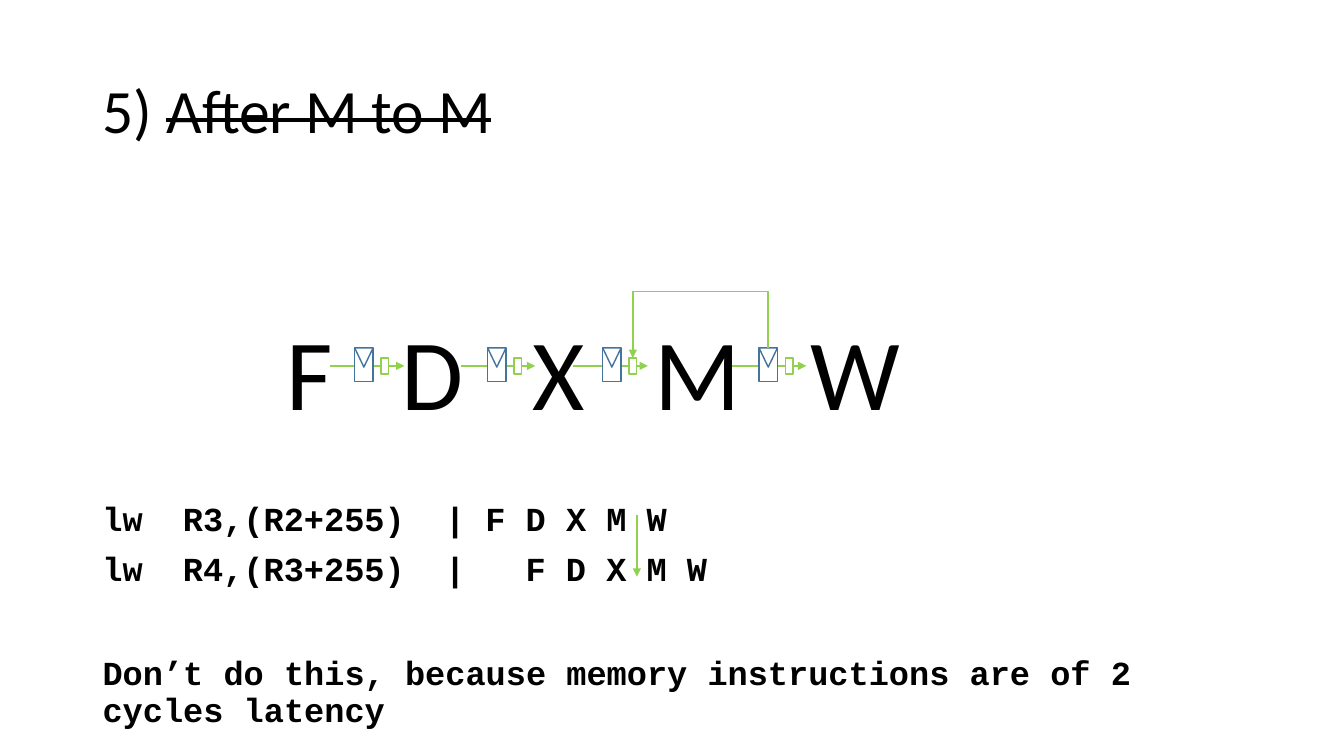
from dataclasses import dataclass

from lxml import etree
from pptx import Presentation
from pptx.dml.color import RGBColor
from pptx.enum import shapes, text
from pptx.oxml import ns
from pptx.util import Cm, Pt


@dataclass
class Theme:
    ink: RGBColor = RGBColor(0, 0, 0)
    paper: RGBColor = RGBColor(255, 255, 255)
    latch: RGBColor = RGBColor(0x43, 0x73, 0x9E)
    wire: RGBColor = RGBColor(0x92, 0xD0, 0x50)
    sans: str = "Calibri"
    mono: str = "Courier New"
    head: int = 44
    stage: int = 72
    code: int = 24


theme = Theme()
prs = Presentation()
prs.slide_width, prs.slide_height = Cm(33.87), Cm(19.05)
slide = prs.slides.add_slide(prs.slide_layouts[1])


def add_box(kind, left, top, width, height, color):
    box = slide.shapes.add_shape(kind, Cm(left), Cm(top), Cm(width), Cm(height))
    box.shadow.inherit = False
    box.fill.solid()
    box.fill.fore_color.rgb = theme.paper
    box.line.color.rgb = color
    box.line.width = Pt(1)
    return box


def add_wire(kind, x1, y1, x2, y2):
    """Add a green connector with an arrowhead at its end."""
    wire = slide.shapes.add_connector(kind, Cm(x1), Cm(y1), Cm(x2), Cm(y2))
    wire.line.color.rgb = theme.wire
    wire.line.width = Pt(1)
    etree.SubElement(wire.line._get_or_add_ln(), ns.qn("a:tailEnd"), type="triangle")
    etree.SubElement(wire._element.spPr, ns.qn("a:effectLst"))
    return wire


# Title
title = slide.shapes.title
title.left, title.top, title.width, title.height = Cm(2.33), Cm(1.01), Cm(29.21), Cm(3.68)
frame = title.text_frame
frame.vertical_anchor = text.MSO_ANCHOR.MIDDLE
frame.auto_size = text.MSO_AUTO_SIZE.NONE
para = frame.paragraphs[0]
para.alignment = text.PP_ALIGN.LEFT
para.line_spacing = 0.9
for words in ("5) ", "After M to M"):
    run = para.add_run()
    run.text = words
    run.font.name = theme.sans
    run.font.size = Pt(theme.head)
    run.font.color.rgb = theme.ink
run.font._element.set("strike", "sngStrike")

# Stage letters and code share a text box with tab stops; the remark is the body
body = slide.placeholders[1]
body.left, body.top, body.width, body.height = Cm(2.33), Cm(16.55), Cm(29.21), Cm(2.16)
chart = slide.shapes.add_textbox(Cm(2.33), Cm(7.81), Cm(29.21), Cm(7.5))

col = 0.508  # width of one code letter
stages = [  # words, font, size, line spacing, space before, tab stops
    ("\tF\tD\tX\tM\tW", theme.sans, theme.stage, 1.0, 0, (4.63, 7.54, 10.85, 13.92, 17.84)),
    ("lw\tR3,(R2+255)\t|\tF D X M W", theme.mono, theme.code, 0.9, 51.2,
     (4 * col, 17 * col, 19 * col)),
    ("lw\tR4,(R3+255)\t|\tF D X M W", theme.mono, theme.code, 0.9, 10,
     (4 * col, 17 * col, 21 * col)),
]
remark = [("Don’t do this, because memory instructions are of 2 cycles latency",
           theme.mono, theme.code, 0.9, 0, ())]
for shape, rows in ((chart, stages), (body, remark)):
    frame = shape.text_frame
    frame.word_wrap = True
    frame.auto_size = text.MSO_AUTO_SIZE.NONE
    frame.margin_top = 0
    frame.text = "\n".join(row[0] for row in rows)
    for para, (words, font, size, pitch, gap, stops) in zip(frame.paragraphs, rows):
        para.alignment = text.PP_ALIGN.LEFT
        para.line_spacing = pitch
        para.space_before = Pt(gap)
        props = para._p.get_or_add_pPr()
        if shape is body:
            props.set("marL", "0")
            props.set("indent", "0")
            etree.SubElement(props, ns.qn("a:buNone"))
        if stops:
            tabs = etree.SubElement(props, ns.qn("a:tabLst"))
            for stop in stops:
                etree.SubElement(tabs, ns.qn("a:tab"), pos=str(Cm(stop)), algn="l")
        for run in para.runs:
            run.font.name = font
            run.font.size = Pt(size)
            run.font.bold = font == theme.mono
            run.font.color.rgb = theme.ink

# Pipeline: wire, latch with its clock mark, and mux between stages
axis, latch_top, mux_top = 9.22, 8.77, 9.02
latch_w, mux_w = 0.46, 0.2
latches, muxes = [], []
for start, left in ((8.31, 8.94), (11.61, 12.29), (14.45, 15.19), (18.44, 19.13)):
    add_wire(shapes.MSO_CONNECTOR.STRAIGHT, start, axis, start + 1.88, axis)
    latches.append(add_box(shapes.MSO_SHAPE.RECTANGLE, left, latch_top, latch_w, 0.84, theme.latch))
    clock = add_box(shapes.MSO_SHAPE.ISOSCELES_TRIANGLE, left, latch_top, latch_w, 0.48, theme.latch)
    clock.rotation = 180
    muxes.append(add_box(shapes.MSO_SHAPE.RECTANGLE, left + 0.66, mux_top, mux_w, 0.41, theme.wire))

# Bypass from the M latch back to the mux before M
x1, x2, peak = 19.13 + latch_w / 2, 15.85 + mux_w / 2, 7.34
drop, span = mux_top - latch_top, x1 - x2
bypass = add_wire(shapes.MSO_CONNECTOR.ELBOW, x1, latch_top, x2, mux_top)
bypass.begin_connect(latches[3], 0)
bypass.end_connect(muxes[2], 0)
bypass.left, bypass.top = Cm((x1 + x2 - drop) / 2), Cm((latch_top + mux_top - span) / 2)
bypass.width, bypass.height = Cm(drop), Cm(span)
form = bypass._element.spPr.find(ns.qn("a:xfrm"))
for key, value in (("rot", "16200000"), ("flipH", "1"), ("flipV", "1")):
    form.set(key, value)
geom = bypass._element.spPr.find(ns.qn("a:prstGeom"))
bend = round((peak - latch_top) / drop * 100000)
etree.SubElement(geom.find(ns.qn("a:avLst")), ns.qn("a:gd"), name="adj1", fmla=f"val {bend}")

# Arrow between the two instructions
add_wire(shapes.MSO_CONNECTOR.STRAIGHT, 16.05, 12.98, 16.05, 14.53)

prs.save("out.pptx")
